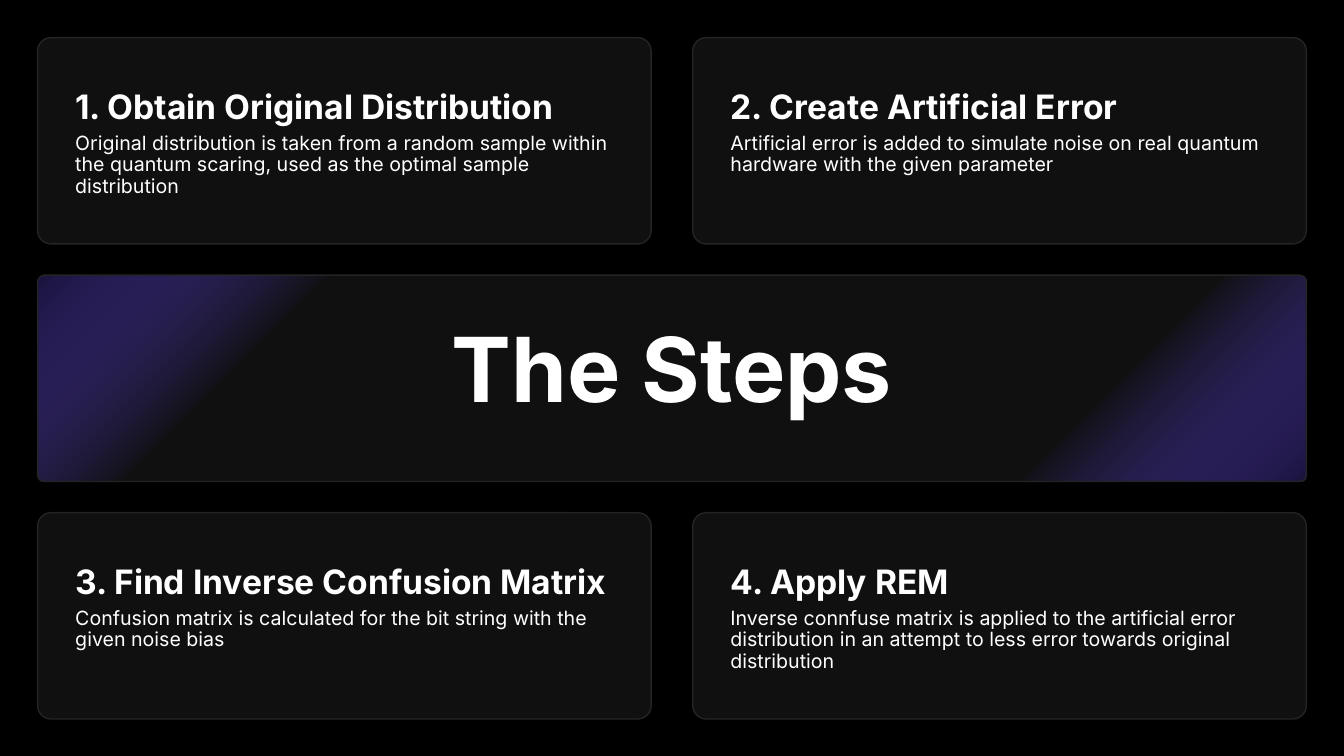
from pptx import Presentation
from pptx import util as u
from pptx.dml.color import RGBColor
from pptx.enum import shapes, text
from pptx.oxml import parse_xml
from pptx.oxml.ns import nsdecls

COLORS = {"bg": "000000", "card": "101010", "border": "242424",
          "text": "FFFFFF", "glow": "7153FF"}
FONT = "Inter"

MARGIN = 0.56
CARD_W, CARD_H = 9.13, 3.07
COL_STEP, ROW_STEP = 9.75, 3.535

STEPS = [
    ("1. Obtain Original Distribution",
     "Original distribution is taken from a random sample within the quantum "
     "scaring, used as the optimal sample distribution"),
    ("2. Create Artificial Error",
     "Artificial error is added to simulate noise on real quantum hardware "
     "with the given parameter"),
    ("3. Find Inverse Confusion Matrix",
     "Confusion matrix is calculated for the bit string with the given noise bias"),
    ("4. Apply REM",
     "Inverse connfuse matrix is applied to the artificial error distribution "
     "in an attempt to less error towards original distribution"),
]


def rgb(name):
    return RGBColor.from_string(COLORS[name])


class Deck:
    def __init__(self, width, height):
        self.prs = Presentation()
        self.prs.slide_width, self.prs.slide_height = u.Inches(width), u.Inches(height)
        self.s = self.prs.slides.add_slide(self.prs.slide_layouts[6])
        self.s.background.fill.solid()
        self.s.background.fill.fore_color.rgb = rgb("bg")

    def panel(self, x, y, w, h, radius):
        sp = self.s.shapes.add_shape(shapes.MSO_SHAPE.ROUNDED_RECTANGLE,
                                     *map(u.Inches, (x, y, w, h)))
        sp.adjustments[0] = radius / min(w, h)
        sp.shadow.inherit = False
        sp.fill.solid()
        sp.fill.fore_color.rgb = rgb("card")
        sp.line.color.rgb = rgb("border")
        sp.line.width = u.Pt(1.5)
        return sp

    def glow(self, sp):
        """Fill a panel with a dark gradient that glows at two opposite corners."""
        stops = ""
        for pos in range(0, 101, 20):
            if pos in (0, 100):
                color = f'<a:srgbClr val="{COLORS["glow"]}"><a:alpha val="23000"/></a:srgbClr>'
            else:
                color = f'<a:srgbClr val="{COLORS["card"]}"/>'
            stops += f'<a:gs pos="{pos * 1000}">{color}</a:gs>'
        grad = parse_xml(
            f'<a:gradFill {nsdecls("a")}><a:gsLst>{stops}</a:gsLst><a:path path="circle">'
            '<a:fillToRect l="0" t="0" r="100000" b="100000"/></a:path></a:gradFill>')
        props = sp.element.spPr
        props.replace(props.find(
            "{http://schemas.openxmlformats.org/drawingml/2006/main}solidFill"), grad)

    def label(self, x, y, w, h, words, size, bold=False, spacing=0.9,
              align=text.PP_ALIGN.LEFT):
        tf = self.s.shapes.add_textbox(*map(u.Inches, (x, y, w, h))).text_frame
        tf.word_wrap = True
        tf.margin_left = tf.margin_right = tf.margin_top = tf.margin_bottom = 0
        p = tf.paragraphs[0]
        p.text = words
        p.alignment, p.line_spacing = align, spacing
        p.font.name, p.font.size, p.font.bold = FONT, u.Pt(size), bold
        p.font.color.rgb = rgb("text")


def main():
    deck = Deck(20, 11.25)

    # Title banner across the middle row
    banner = deck.panel(MARGIN, MARGIN + ROW_STEP, COL_STEP + CARD_W, CARD_H, 0.1)
    deck.glow(banner)
    deck.label(2.17, 4.97, 15.66, 1.29, "The Steps", 96, bold=True, spacing=0.8,
               align=text.PP_ALIGN.CENTER)

    # Step cards in the rows above and below the banner
    for i, (heading, body) in enumerate(STEPS):
        row, col = divmod(i, 2)
        x, y = MARGIN + col * COL_STEP, MARGIN + row * 2 * ROW_STEP
        deck.panel(x, y, CARD_W, CARD_H, 0.2)
        deck.label(x + 0.56, y + 0.78, 8, 0.55, heading, 36, bold=True)
        deck.label(x + 0.56, y + 1.43, 8, 0.95, body, 21)

    deck.prs.save("out.pptx")


if __name__ == "__main__":
    main()
